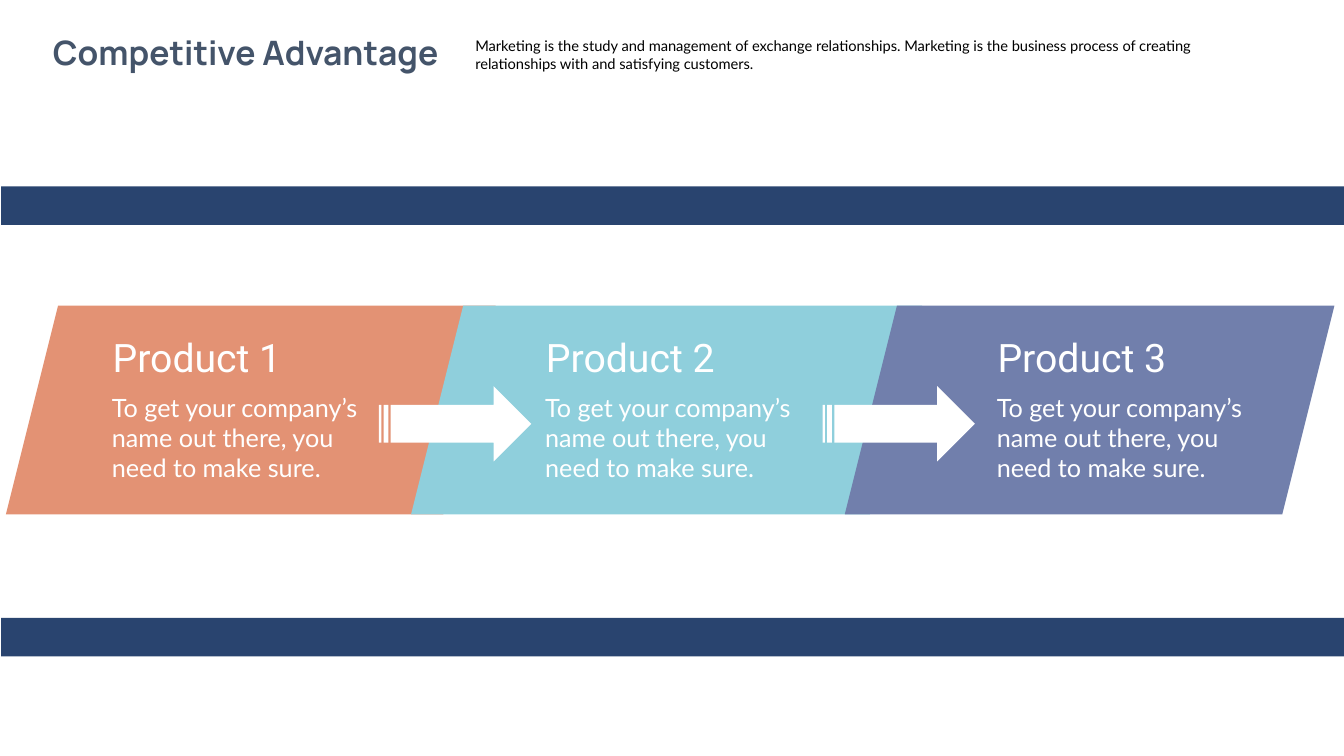
from pptx import Presentation
from pptx.dml.color import RGBColor
from pptx.enum.shapes import MSO_SHAPE as Preset
from pptx.enum.text import MSO_AUTO_SIZE as AutoSize, PP_ALIGN as Align
from pptx.util import Cm, Pt

WHITE, BLACK, NAVY, SLATE = "FFFFFF", "000000", "29446F", "44546A"
PITCH = "To get your company’s name out there, you need to make sure."

# name, panel left, panel width, panel colour, heading left
PRODUCTS = [
    ("Product 1", 0.15, 12.34, "E39274", 2.59),
    ("Product 2", 10.36, 12.88, "8FCFDC", 13.51),
    ("Product 3", 21.29, 12.34, "717FAC", 24.89),
]
ARROW_LEFTS = (9.55, 20.73)
BAR_TOPS = (15.57, 4.7)


def set_color(target, hex_color):
    target.rgb = RGBColor.from_string(hex_color)


def add_filled_shape(slide, preset, left, top, width, height, hex_color):
    shape = slide.shapes.add_shape(preset, Cm(left), Cm(top), Cm(width), Cm(height))
    shape.shadow.inherit = False
    shape.fill.solid()
    set_color(shape.fill.fore_color, hex_color)
    shape.line.fill.background()


def add_text(slide, text, left, top, width, height, font_name, size, hex_color,
             bold=False, align=Align.LEFT, wrap=True):
    box = slide.shapes.add_textbox(Cm(left), Cm(top), Cm(width), Cm(height))
    frame = box.text_frame
    frame.text = text
    frame.word_wrap = wrap
    frame.auto_size = AutoSize.SHAPE_TO_FIT_TEXT
    paragraph = frame.paragraphs[0]
    paragraph.alignment = align
    font = paragraph.runs[0].font
    font.name, font.size, font.bold = font_name, Pt(size), bold
    set_color(font.color, hex_color)


def add_header(slide):
    add_text(slide, "Competitive Advantage", 0.64, 0.69, 11.1, 1.27,
             "Manrope", 24, SLATE, bold=True, align=Align.CENTER, wrap=False)
    add_text(slide, "Marketing is the study and management of exchange relationships. "
             "Marketing is the business process of creating relationships with "
             "and satisfying customers.",
             11.73, 0.81, 19.61, 1.14, "Lato", 10.5, BLACK)


def add_product_text(slide, name, left):
    add_text(slide, name, left, 8.28, 6.91, 1.45, "Roboto", 28, WHITE)
    add_text(slide, PITCH, left - 0.02, 9.75, 6.91, 2.57, "Lato", 18, WHITE)


def main():
    presentation = Presentation()
    presentation.slide_width, presentation.slide_height = Cm(33.87), Cm(19.05)
    slide = presentation.slides.add_slide(presentation.slide_layouts[6])

    for _, left, width, color, _ in PRODUCTS:
        add_filled_shape(slide, Preset.PARALLELOGRAM, left, 7.7, width, 5.26, color)
    add_header(slide)
    for name, _, _, _, text_left in PRODUCTS:
        add_product_text(slide, name, text_left)
    for left in ARROW_LEFTS:
        add_filled_shape(slide, Preset.STRIPED_RIGHT_ARROW, left, 9.73, 3.84, 1.9, WHITE)
    for top in BAR_TOPS:
        add_filled_shape(slide, Preset.RECTANGLE, 0.03, top, 33.86, 0.97, NAVY)

    presentation.save("out.pptx")


if __name__ == "__main__":
    main()
